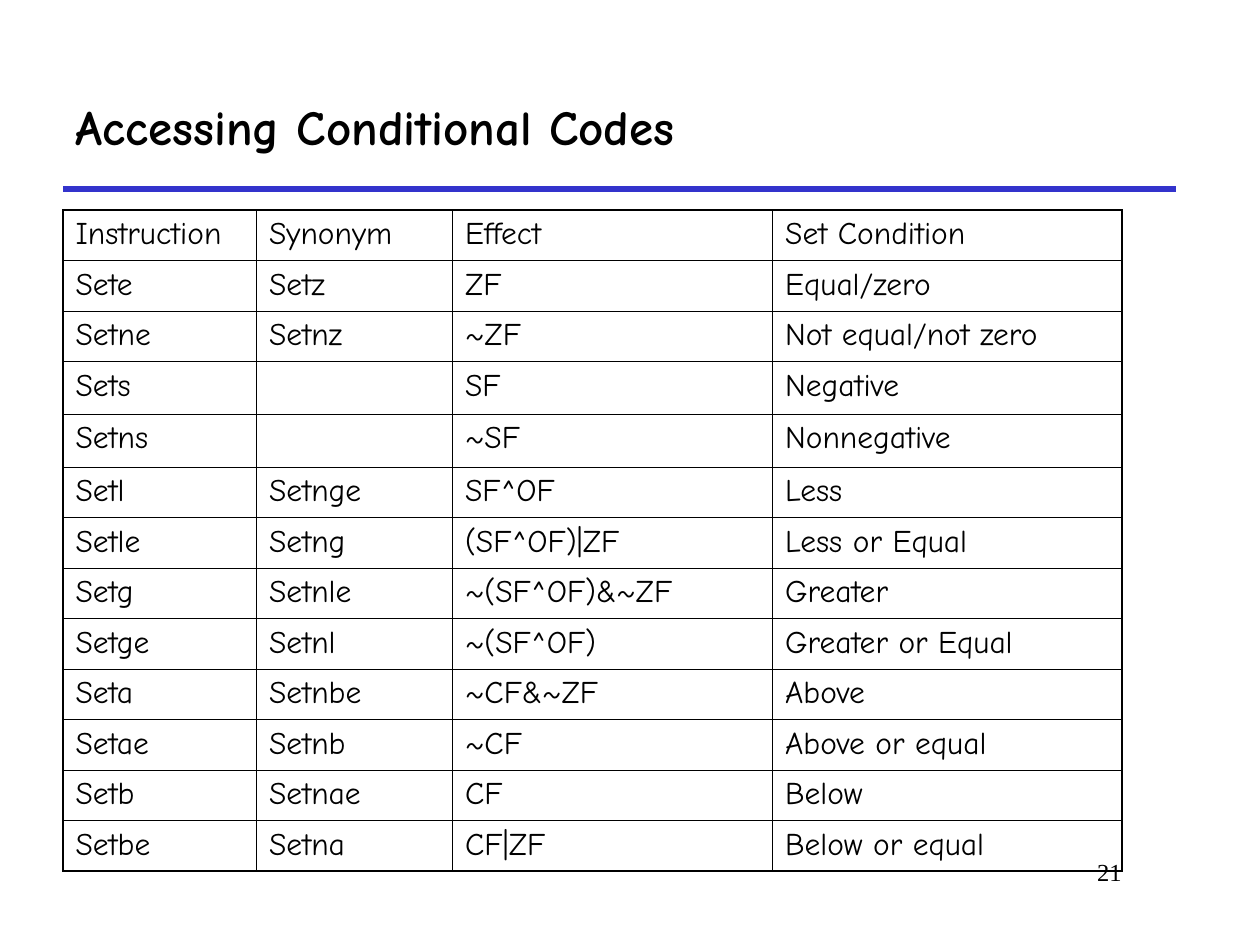
from dataclasses import dataclass
from typing import NamedTuple

from pptx import Presentation
from pptx.dml.color import RGBColor
from pptx.enum.shapes import MSO_CONNECTOR
from pptx.enum.text import MSO_ANCHOR, MSO_AUTO_SIZE, PP_ALIGN
from pptx.oxml.ns import qn
from pptx.util import Pt
from lxml.etree import SubElement


@dataclass(frozen=True)
class Theme:
    ink: RGBColor = RGBColor(0, 0, 0)
    rule: RGBColor = RGBColor(0x33, 0x33, 0xCC)
    face: str = "Comic Neue"
    serif: str = "Times New Roman"
    title: float = 28
    body: float = 18
    page: float = 14
    thin: float = 0.45
    thick: float = 1.08


class Code(NamedTuple):
    name: str
    synonym: str
    effect: str
    meaning: str


THEME = Theme()
LEFT = 36
WIDTHS = (110.6, 112, 182.9, 199.7)
ROW, BLANK_ROW = 28.85, 30.25
CODES = (
    Code("Instruction", "Synonym", "Effect", "Set Condition"),
    Code("Sete", "Setz", "ZF", "Equal/zero"),
    Code("Setne", "Setnz", "~ZF", "Not equal/not zero"),
    Code("Sets", "", "SF", "Negative"),
    Code("Setns", "", "~SF", "Nonnegative"),
    Code("Setl", "Setnge", "SF^OF", "Less"),
    Code("Setle", "Setng", "(SF^OF)|ZF", "Less or Equal"),
    Code("Setg", "Setnle", "~(SF^OF)&~ZF", "Greater"),
    Code("Setge", "Setnl", "~(SF^OF)", "Greater or Equal"),
    Code("Seta", "Setnbe", "~CF&~ZF", "Above"),
    Code("Setae", "Setnb", "~CF", "Above or equal"),
    Code("Setb", "Setnae", "CF", "Below"),
    Code("Setbe", "Setna", "CF|ZF", "Below or equal"),
)


def style(para, size: float, face: str, bold: bool = False) -> None:
    font = para.font
    font.size, font.name, font.bold = Pt(size), face, bold
    font.color.rgb = THEME.ink


def add_title(slide, text: str) -> None:
    title = slide.shapes.title
    title.left, title.top = Pt(LEFT), Pt(36)
    title.width, title.height = Pt(636), Pt(72)
    frame = title.text_frame
    frame.text = text
    frame.auto_size = MSO_AUTO_SIZE.NONE
    frame.vertical_anchor = MSO_ANCHOR.MIDDLE
    para = frame.paragraphs[0]
    para.alignment = PP_ALIGN.LEFT
    style(para, THEME.title, THEME.face, True)


def add_rule(slide) -> None:
    rule = slide.shapes.add_connector(
        MSO_CONNECTOR.STRAIGHT, Pt(LEFT), Pt(108), Pt(672), Pt(108))
    rule.line.color.rgb = THEME.rule
    rule.line.width = Pt(3)
    SubElement(rule.element.spPr, qn("a:effectLst"))


def add_page(slide, number: str) -> None:
    box = slide.shapes.add_textbox(Pt(546), Pt(486), Pt(102), Pt(36))
    frame = box.text_frame
    frame.word_wrap = True
    frame.text = number
    para = frame.paragraphs[0]
    para.alignment = PP_ALIGN.RIGHT
    style(para, THEME.page, THEME.serif)


def set_edges(cell, outer: dict[str, bool]) -> None:
    """Draw each side of a cell, thick where it lies on the table's rim."""
    props = cell._tc.get_or_add_tcPr()
    for spot, (side, rim) in enumerate(outer.items()):
        width = Pt(THEME.thick if rim else THEME.thin)
        line = props.makeelement(qn(f"a:{side}"), {"w": str(width)})
        fill = SubElement(line, qn("a:solidFill"))
        SubElement(fill, qn("a:srgbClr"), val=str(THEME.ink))
        props.insert(spot, line)


def add_codes(slide, codes: tuple[Code, ...]) -> None:
    heights = [ROW if all(code) else BLANK_ROW for code in codes]
    last, end = len(codes) - 1, len(WIDTHS) - 1
    table = slide.shapes.add_table(
        len(codes), len(WIDTHS), Pt(LEFT), Pt(120),
        Pt(sum(WIDTHS)), Pt(sum(heights))).table
    table.first_row = table.horz_banding = False
    for col, width in zip(table.columns, WIDTHS):
        col.width = Pt(width)
    for r, (code, height) in enumerate(zip(codes, heights)):
        table.rows[r].height = Pt(height)
        for c, text in enumerate(code):
            cell = table.cell(r, c)
            cell.fill.background()
            cell.text = text
            para = cell.text_frame.paragraphs[0]
            para.space_before = Pt(4.5)
            style(para, THEME.body, THEME.face)
            set_edges(cell, {"lnL": c == 0, "lnR": c == end,
                             "lnT": r == 0, "lnB": r == last})


def main() -> None:
    deck = Presentation()
    deck.slide_width, deck.slide_height = Pt(720), Pt(540)
    slide = deck.slides.add_slide(deck.slide_layouts[5])
    add_rule(slide)
    add_page(slide, "21")
    add_title(slide, "Accessing Conditional Codes")
    add_codes(slide, CODES)
    deck.save("out.pptx")


if __name__ == "__main__":
    main()
